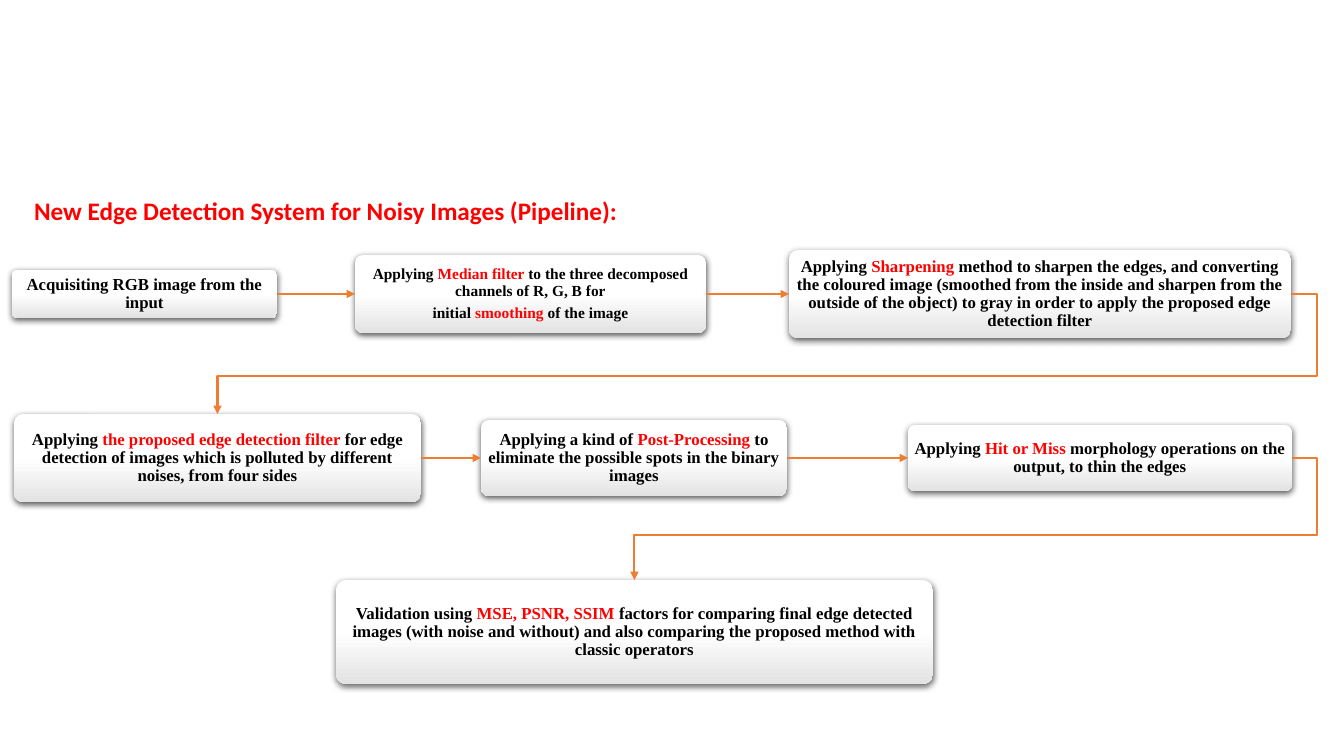
import pptx
import pptx.dml.color
import pptx.enum.dml
import pptx.enum.shapes
import pptx.enum.text
import pptx.oxml
import pptx.oxml.ns
import pptx.util

EMU_PER_PX = 914400 / 100.8
SLIDE_SIZE = 1344, 756
BLACK, RED, ORANGE, WHITE, GREY = "000000", "FF0000", "ED7D31", "FFFFFF", "E3E3E3"
NAMESPACE = pptx.oxml.ns.nsdecls("a")

HEADING = "New Edge Detection System for Noisy Images (Pipeline):"
HEADING_AT = 24, 190, 611, 40

# Each step: left, width, height, point size, paragraphs.
# In a paragraph, plain and highlighted runs alternate, starting with plain.
ROWS = [
    (294, [
        (12, 265, 48, 12, [["Acquisiting RGB image from the input"]]),
        (355, 351, 78, 11, [
            ["Applying ", "Median filter ", "to the three decomposed channels of R, G, B for"],
            ["initial ", "smoothing", " of the image"]]),
        (789, 502, 88, 12, [
            ["Applying ", "Sharpening",
             " method to sharpen the edges, and converting the coloured image "
             "(smoothed from the inside and sharpen from the outside of the object) "
             "to gray in order to apply the proposed edge detection filter"]]),
    ]),
    (458, [
        (14, 407, 88, 12, [
            ["Applying ", "the proposed edge detection filter ",
             "for edge detection of images which is polluted by different noises, "
             "from four sides"]]),
        (481, 306, 76, 12, [
            ["Applying a kind of ", "Post-Processing",
             " to eliminate the possible spots in the binary images"]]),
        (908, 384, 66, 12, [
            ["Applying ", "Hit or Miss",
             " morphology operations on the output, to thin the edges"]]),
    ]),
    (632, [
        (336, 597, 104, 12, [
            ["Validation using ", "MSE, PSNR, SSIM ",
             "factors for comparing final edge detected images (with noise and without) "
             "and also comparing the proposed method with classic operators"]]),
    ]),
]
TURN_X = 1317
TURN_YS = [376, 535]
TOP, LEFT, RIGHT = 0, 1, 3


def px(length):
    return pptx.util.Emu(round(length * EMU_PER_PX))


def rgb(value):
    return pptx.dml.color.RGBColor.from_string(value)


def add_run(paragraph, text, font_name, size, color):
    run = paragraph.add_run()
    run.text = text
    run.font.name = font_name
    run.font.size = pptx.util.Pt(size)
    run.font.bold = True
    run.font.color.rgb = rgb(color)


def add_heading(slide):
    heading = slide.shapes.title
    heading.left, heading.top, heading.width, heading.height = map(px, HEADING_AT)
    frame = heading.text_frame
    frame.word_wrap = True
    frame.auto_size = pptx.enum.text.MSO_AUTO_SIZE.NONE
    frame.vertical_anchor = pptx.enum.text.MSO_ANCHOR.TOP
    frame.paragraphs[0].alignment = pptx.enum.text.PP_ALIGN.LEFT
    add_run(frame.paragraphs[0], HEADING, "Calibri", 18, RED)


def style_card(card):
    card.adjustments[0] = 0.1
    card.line.fill.background()
    card.fill.gradient()
    card.fill.gradient_angle = 270
    for stop, position, color in zip(card.fill.gradient_stops, (0.5, 1), (WHITE, GREY)):
        stop.position = position
        stop.color.rgb = rgb(color)
    card.shadow.inherit = False
    effects = card._element.spPr.find(pptx.oxml.ns.qn("a:effectLst"))
    effects.append(pptx.oxml.parse_xml(
        f'<a:outerShdw {NAMESPACE} blurRad="{pptx.util.Pt(4.5)}" dist="{pptx.util.Pt(1.5)}" '
        f'dir="5400000" algn="ctr" rotWithShape="0"><a:srgbClr val="{BLACK}">'
        '<a:alpha val="63000"/></a:srgbClr></a:outerShdw>'))


def add_step(slide, middle, left, width, height, size, paragraphs):
    card = slide.shapes.add_shape(
        pptx.enum.shapes.MSO_SHAPE.ROUNDED_RECTANGLE,
        px(left), px(middle - height / 2), px(width), px(height))
    style_card(card)
    frame = card.text_frame
    frame.word_wrap = True
    frame.vertical_anchor = pptx.enum.text.MSO_ANCHOR.MIDDLE
    frame.margin_left = frame.margin_right = px(3)
    frame.margin_top = frame.margin_bottom = px(3)
    for index, runs in enumerate(paragraphs):
        paragraph = frame.add_paragraph() if index else frame.paragraphs[0]
        paragraph.alignment = pptx.enum.text.PP_ALIGN.CENTER
        paragraph.line_spacing = 0.9
        paragraph.space_after = pptx.util.Pt(4)
        for position, text in enumerate(runs):
            add_run(paragraph, text, "Times New Roman", size, RED if position % 2 else BLACK)
    return card


def add_arrow(slide, kind, source, target, target_side):
    arrow = slide.shapes.add_connector(kind, 0, 0, 0, 0)
    arrow.begin_connect(source, RIGHT)
    arrow.end_connect(target, target_side)
    arrow.line.color.rgb = rgb(ORANGE)
    arrow.line.width = pptx.util.Pt(1.5)
    arrow.line._get_or_add_ln().append(
        pptx.oxml.parse_xml(f'<a:tailEnd {NAMESPACE} type="triangle"/>'))
    arrow._element.spPr.append(pptx.oxml.parse_xml(f"<a:effectLst {NAMESPACE}/>"))
    return arrow


def add_row_break(slide, source, target, turn_y):
    """Lead from the end of one row, out to TURN_X, back along turn_y and down."""
    arrow = add_arrow(slide, pptx.enum.shapes.MSO_CONNECTOR.ELBOW, source, target, TOP)
    bends = ((arrow.begin_x - px(TURN_X)) / arrow.width,
             (px(turn_y) - arrow.begin_y) / arrow.height)
    guides = "".join(f'<a:gd name="adj{number}" fmla="val {round(bend * 100000)}"/>'
                     for number, bend in enumerate(bends, 1))
    geometry = arrow._element.spPr.find(pptx.oxml.ns.qn("a:prstGeom"))
    geometry.getparent().replace(geometry, pptx.oxml.parse_xml(
        f'<a:prstGeom {NAMESPACE} prst="bentConnector4"><a:avLst>{guides}</a:avLst></a:prstGeom>'))


def main():
    deck = pptx.Presentation()
    deck.slide_width, deck.slide_height = map(px, SLIDE_SIZE)
    slide = deck.slides.add_slide(deck.slide_layouts.get_by_name("Title Only"))
    add_heading(slide)
    rows = [[add_step(slide, middle, *step) for step in steps] for middle, steps in ROWS]
    for row in rows:
        for source, target in zip(row, row[1:]):
            add_arrow(slide, pptx.enum.shapes.MSO_CONNECTOR.STRAIGHT, source, target, LEFT)
    for row, following, turn_y in zip(rows, rows[1:], TURN_YS):
        add_row_break(slide, row[-1], following[0], turn_y)
    deck.save("out.pptx")


if __name__ == "__main__":
    main()
